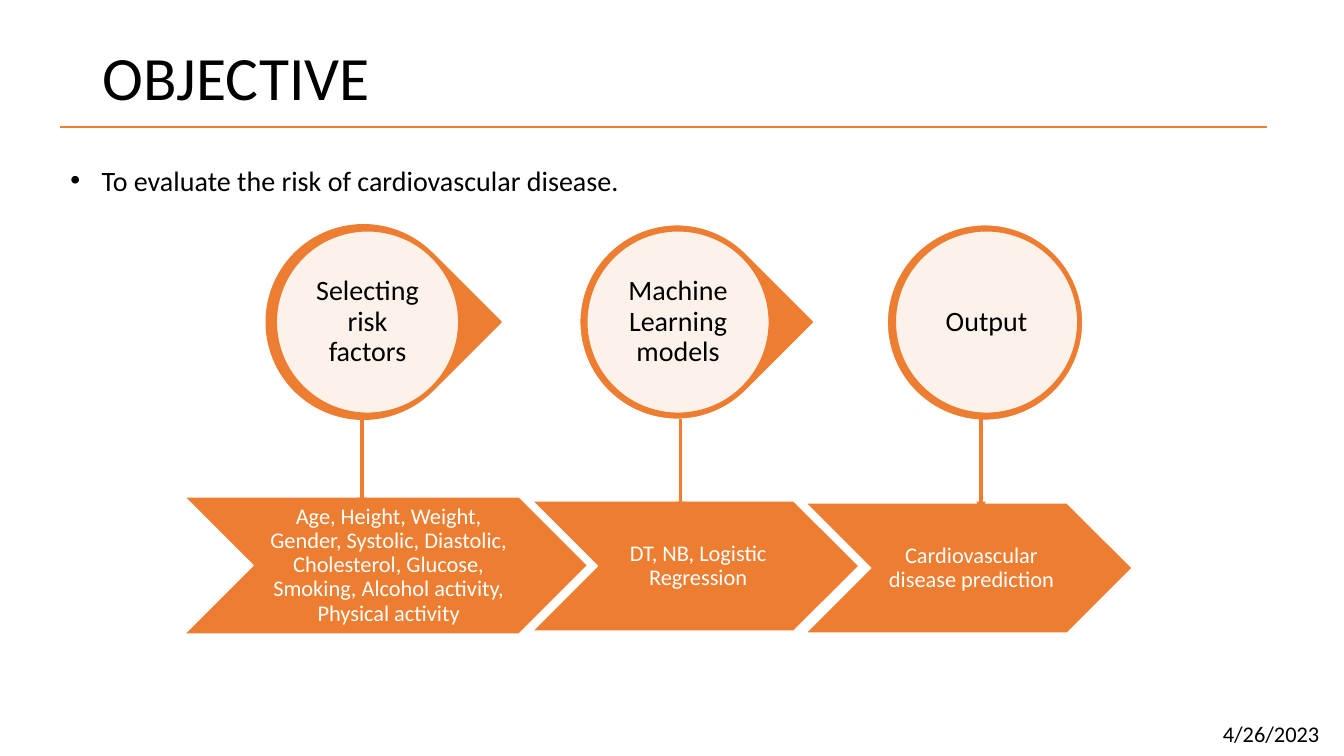
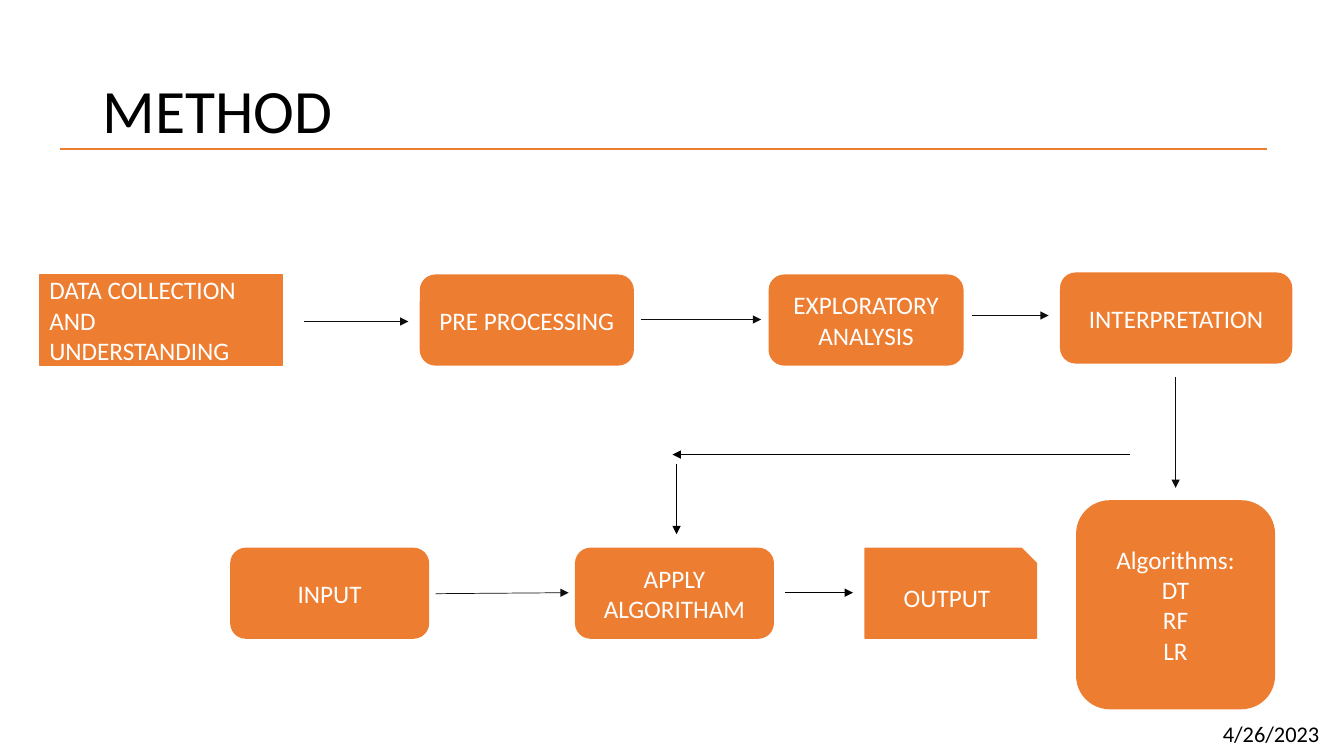
from dataclasses import dataclass
from typing import Optional

from lxml.etree import SubElement
from pptx import Presentation
from pptx.dml.color import RGBColor
from pptx.enum.shapes import MSO_CONNECTOR, MSO_SHAPE as Shape
from pptx.enum.text import MSO_ANCHOR as Anchor, PP_ALIGN as Align
from pptx.oxml.ns import qn
from pptx.util import Inches, Pt

ORANGE = RGBColor(0xED, 0x7D, 0x31)
WHITE = RGBColor(0xFF, 0xFF, 0xFF)
BLACK = RGBColor(0x00, 0x00, 0x00)
INK = RGBColor(0x0D, 0x0D, 0x0D)
FONT = "Calibri"
DATE = "4/26/2023"

DISC_TOP, DISC_SIZE = 2.29, 1.81
RING_TOP = 2.23
BOX_HEIGHT = 0.89
TOP_ROW, BOTTOM_ROW = 2.73, 5.44


@dataclass(frozen=True)
class Box:
    left: float
    top: float
    width: float
    height: float

    def lengths(self) -> list:
        return [Inches(v) for v in (self.left, self.top, self.width, self.height)]


@dataclass(frozen=True)
class Stage:
    """A ringed disc, the chevron below it and the stem between them."""
    heading: str
    detail: str
    ring: Shape
    ring_line: RGBColor
    ring_left: float
    ring_size: float
    disc_left: float
    chevron: Box
    stem_x: float
    stem_top: float


@dataclass(frozen=True)
class Step:
    lines: tuple
    box: Box
    outline: Shape = Shape.ROUNDED_RECTANGLE
    align: Align = Align.CENTER


@dataclass(frozen=True)
class Arrow:
    start: tuple
    end: tuple
    color: RGBColor = INK


STAGES = (
    Stage("Selecting risk factors",
          "Age, Height, Weight, Gender, Systolic, Diastolic, Cholesterol, "
          "Glucose, Smoking, Alcohol activity, Physical activity",
          Shape.TEAR, ORANGE, 2.64, 1.93, 2.74, Box(1.83, 4.93, 4, 1.36), 3.59, 4.12),
    Stage("Machine Learning models", "DT, NB, Logistic Regression",
          Shape.TEAR, WHITE, 5.75, 1.93, 5.82, Box(5.28, 4.97, 3.24, 1.29), 6.75, 4.16),
    Stage("Output", "Cardiovascular disease prediction",
          Shape.OVAL, WHITE, 8.8, 1.94, 8.88, Box(7.99, 4.99, 3.24, 1.29), 9.73, 4.16),
)
STEM_LENGTH = 0.91

STEPS = (
    Step(("DATA COLLECTION AND UNDERSTANDING",), Box(0.39, TOP_ROW, 2.41, BOX_HEIGHT),
         Shape.RECTANGLE, Align.LEFT),
    Step(("PRE PROCESSING",), Box(4.17, TOP_ROW, 2.11, BOX_HEIGHT)),
    Step(("EXPLORATORY ANALYSIS",), Box(7.63, TOP_ROW, 1.92, BOX_HEIGHT)),
    Step(("INTERPRETATION",), Box(10.52, 2.71, 2.29, BOX_HEIGHT)),
    Step(("Algorithms:", "DT", "RF", "LR"), Box(10.68, 4.97, 1.96, 2.06)),
    Step(("INPUT",), Box(2.29, BOTTOM_ROW, 1.96, BOX_HEIGHT)),
    Step(("APPLY ALGORITHAM",), Box(5.71, BOTTOM_ROW, 1.96, BOX_HEIGHT)),
    Step(("OUTPUT",), Box(8.58, BOTTOM_ROW, 1.7, BOX_HEIGHT), Shape.SNIP_1_RECTANGLE),
)
ARROWS = (
    Arrow((3.02, 3.19), (4.05, 3.19)),
    Arrow((6.36, 3.17), (7.55, 3.17)),
    Arrow((9.64, 3.13), (10.4, 3.13)),
    Arrow((11.66, 3.74), (11.66, 4.84)),
    Arrow((11.21, 4.51), (6.67, 4.51), BLACK),
    Arrow((6.71, 4.6), (6.71, 5.3), BLACK),
    Arrow((4.32, 5.89), (5.64, 5.88)),
    Arrow((7.79, 5.88), (8.46, 5.88), BLACK),
)


def write(shape, lines: tuple, size: float, color: RGBColor,
          align: Optional[Align] = None, anchor: Anchor = Anchor.MIDDLE,
          spacing: Optional[float] = None) -> None:
    frame = shape.text_frame
    frame.word_wrap = True
    frame.vertical_anchor = anchor
    for index, line in enumerate(lines):
        paragraph = frame.add_paragraph() if index else frame.paragraphs[0]
        paragraph.alignment = align
        paragraph.line_spacing = spacing
        run = paragraph.add_run()
        run.text = line
        run.font.name = FONT
        run.font.size = Pt(size)
        run.font.color.rgb = color


def set_insets(shape, left: float, others: float) -> None:
    frame = shape.text_frame
    frame.margin_left = Inches(left)
    frame.margin_top = frame.margin_right = frame.margin_bottom = Inches(others)


def add_filled(slide, outline: Shape, box: Box, fill: RGBColor, line: RGBColor):
    shape = slide.shapes.add_shape(outline, *box.lengths())
    shape.shadow.inherit = False
    shape.fill.solid()
    shape.fill.fore_color.rgb = fill
    shape.line.color.rgb = line
    shape.line.width = Pt(1)
    return shape


def add_line(slide, start: tuple, end: tuple, color: RGBColor, width: float,
             arrow: bool = False) -> None:
    ends = [Inches(v) for v in (*start, *end)]
    connector = slide.shapes.add_connector(MSO_CONNECTOR.STRAIGHT, *ends)
    connector.line.color.rgb = color
    connector.line.width = Pt(width)
    if arrow:
        SubElement(connector.line._get_or_add_ln(), qn("a:tailEnd"), type="triangle")
    SubElement(connector._element.spPr, qn("a:effectLst"))


def add_base(deck, title: str, title_top: float, rule_y: float):
    """Add a blank slide with its title, rule and date."""
    slide = deck.slides.add_slide(deck.slide_layouts[6])
    heading = slide.shapes.add_textbox(*Box(0.92, title_top, 11.5, 1.45).lengths())
    write(heading, (title,), 44, BLACK, spacing=0.9)
    add_line(slide, (0.6, rule_y), (12.57, rule_y), ORANGE, 1.5)
    date = slide.shapes.add_textbox(*Box(12.03, 7.1, 1.3, 0.37).lengths())
    write(date, (DATE,), 16, BLACK, anchor=Anchor.TOP)
    return slide


def add_bullet(slide, text: str, box: Box) -> None:
    shape = slide.shapes.add_textbox(*box.lengths())
    indent = Inches(0.31)
    properties = shape.text_frame.paragraphs[0]._p.get_or_add_pPr()
    properties.set("marL", str(indent))
    properties.set("indent", str(-indent))
    SubElement(properties, qn("a:buFont"), typeface="Arial")
    SubElement(properties, qn("a:buChar"), char="•")
    write(shape, (text,), 20, BLACK, Align.JUSTIFY, Anchor.TOP)


def add_stage(slide, stage: Stage) -> None:
    ring = add_filled(slide, stage.ring,
                      Box(stage.ring_left, RING_TOP, stage.ring_size, stage.ring_size),
                      ORANGE, stage.ring_line)
    if stage.ring == Shape.TEAR:
        ring.rotation = 45

    disc = add_filled(slide, Shape.OVAL,
                      Box(stage.disc_left, DISC_TOP, DISC_SIZE, DISC_SIZE), WHITE, ORANGE)
    fill_color = disc._element.spPr.find(qn("a:solidFill"))[0]
    SubElement(fill_color, qn("a:alpha"), val="90000")
    set_insets(disc, 0.03, 0.03)
    write(disc, (stage.heading,), 20, BLACK, Align.CENTER, spacing=0.9)

    chevron = add_filled(slide, Shape.CHEVRON, stage.chevron, ORANGE, WHITE)
    set_insets(chevron, 0.07, 0.02)
    write(chevron, (stage.detail,), 16, WHITE, Align.CENTER, spacing=0.9)

    add_line(slide, (stage.stem_x, stage.stem_top),
             (stage.stem_x, stage.stem_top + STEM_LENGTH), ORANGE, 2.25, arrow=True)


def add_objective(deck) -> None:
    slide = add_base(deck, "OBJECTIVE", 0.07, 1.26)
    add_bullet(slide, "To evaluate the risk of cardiovascular disease.",
               Box(0.6, 1.57, 7.14, 0.44))
    for stage in STAGES:
        add_stage(slide, stage)


def add_method(deck) -> None:
    slide = add_base(deck, "METHOD", 0.4, 1.48)
    for step in STEPS:
        shape = add_filled(slide, step.outline, step.box, ORANGE, ORANGE)
        write(shape, step.lines, 18, WHITE, step.align)
    for arrow in ARROWS:
        add_line(slide, arrow.start, arrow.end, arrow.color, 0.5, arrow=True)


def main() -> None:
    deck = Presentation()
    deck.slide_width, deck.slide_height = Inches(13.33), Inches(7.5)
    add_objective(deck)
    add_method(deck)
    deck.save("out.pptx")


if __name__ == "__main__":
    main()
